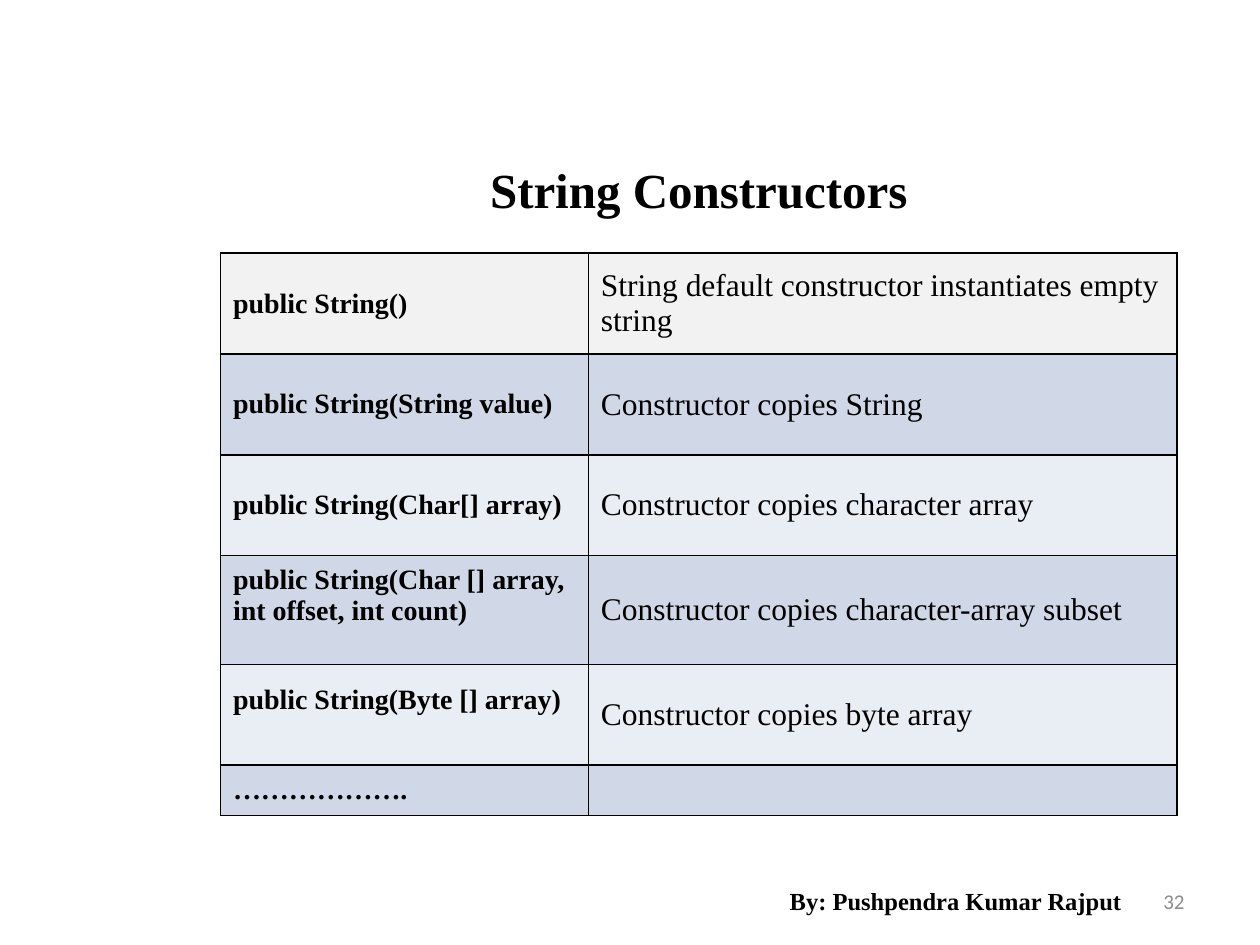
from dataclasses import dataclass

from lxml.etree import SubElement
from pptx import Presentation
from pptx.dml.color import RGBColor
from pptx.enum.text import MSO_ANCHOR, MSO_AUTO_SIZE, PP_ALIGN
from pptx.oxml.ns import qn
from pptx.util import Inches, Pt


@dataclass(frozen=True)
class Theme:
    """Fonts, type sizes and colours of the slide."""
    serif: str = "Times New Roman"
    sans: str = "Calibri"
    title: int = 28
    body: int = 18
    code: int = 16
    footer: int = 14
    number: int = 12
    ink: str = "000000"
    grey: str = "8C8C8C"
    first_row: str = "F2F2F2"
    bands: tuple = ("E9EDF4", "D0D8E8")


class SlideBuilder:
    """Adds styled elements to the current slide."""

    def __init__(self, prs, theme):
        self.theme = theme
        self.s = prs.slides.add_slide(prs.slide_layouts[5])

    def run(self, p, text, size, bold=False, font=None, color=None):
        """Add one styled run to a paragraph."""
        r = p.add_run()
        r.text = text
        r.font.name = font or self.theme.serif
        r.font.size = Pt(size)
        r.font.bold = bold
        r.font.color.rgb = RGBColor.from_string(color or self.theme.ink)

    def title(self, text, box):
        """Place and fill the title placeholder."""
        sp = self.s.shapes.title
        sp.left, sp.top, sp.width, sp.height = map(Inches, box)
        tf = sp.text_frame
        tf.auto_size = MSO_AUTO_SIZE.NONE
        tf.vertical_anchor = MSO_ANCHOR.TOP
        p = tf.paragraphs[0]
        p.alignment = PP_ALIGN.CENTER
        p.line_spacing = 1.1
        self.run(p, text, self.theme.title, bold=True)

    def text(self, text, box, align, size, **style):
        """Add a vertically centred text box."""
        tf = self.s.shapes.add_textbox(*map(Inches, box)).text_frame
        tf.word_wrap = True
        tf.vertical_anchor = MSO_ANCHOR.MIDDLE
        p = tf.paragraphs[0]
        p.alignment = align
        self.run(p, text, size, **style)

    def borders(self, cell):
        """Draw a thin line on each side of a cell."""
        tc_pr = cell._tc.get_or_add_tcPr()
        for side in ("a:lnL", "a:lnR", "a:lnT", "a:lnB"):
            ln = SubElement(tc_pr, qn(side), w=str(Pt(1)))
            fill = SubElement(ln, qn("a:solidFill"))
            SubElement(fill, qn("a:srgbClr"), val=self.theme.ink)

    def table(self, rows, box, widths, heights, raised):
        """Add a banded table of constructors and their descriptions."""
        t = self.theme
        shape = self.s.shapes.add_table(len(rows), len(widths), *map(Inches, box))
        table = shape.table
        for column, width in zip(table.columns, widths):
            column.width = Inches(width)
        for i, (values, height) in enumerate(zip(rows, heights)):
            table.rows[i].height = Inches(height)
            color = t.bands[i % 2] if i else t.first_row
            for j, value in enumerate(values):
                cell = table.cell(i, j)
                self.borders(cell)
                cell.fill.solid()
                cell.fill.fore_color.rgb = RGBColor.from_string(color)
                cell.vertical_anchor = MSO_ANCHOR.MIDDLE
                if j == 0 and i in raised:
                    cell.margin_bottom = Inches(0.28)
                if value:
                    size = t.body if j else t.code
                    self.run(cell.text_frame.paragraphs[0], value, size, bold=j == 0)


def main():
    """Build and save the slide."""
    prs = Presentation()
    prs.slide_width, prs.slide_height = Inches(10), Inches(7.5)
    theme = Theme()
    slide = SlideBuilder(prs, theme)
    slide.text("32", (7.17, 6.95, 2.33, 0.4), PP_ALIGN.RIGHT, theme.number,
               font=theme.sans, color=theme.grey)
    slide.text("By: Pushpendra Kumar Rajput", (6, 6.95, 3.17, 0.4),
               PP_ALIGN.CENTER, theme.footer, bold=True)
    slide.title("String Constructors", (1.67, 1.17, 7.75, 0.58))
    constructors = [
        ("public String()", "String default constructor instantiates empty string"),
        ("public String(String value)", "Constructor copies String"),
        ("public String(Char[] array)", "Constructor copies character array"),
        ("public String(Char [] array, int offset, int count)",
         "Constructor copies character-array subset"),
        ("public String(Byte [] array)", "Constructor copies byte array"),
        ("……………….", ""),
    ]
    slide.table(constructors, (1.75, 2.01, 7.59, 4.43), (2.92, 4.67),
                (0.8, 0.8, 0.8, 0.85, 0.8, 0.38), raised=(3, 4))
    prs.save("out.pptx")


if __name__ == "__main__":
    main()
